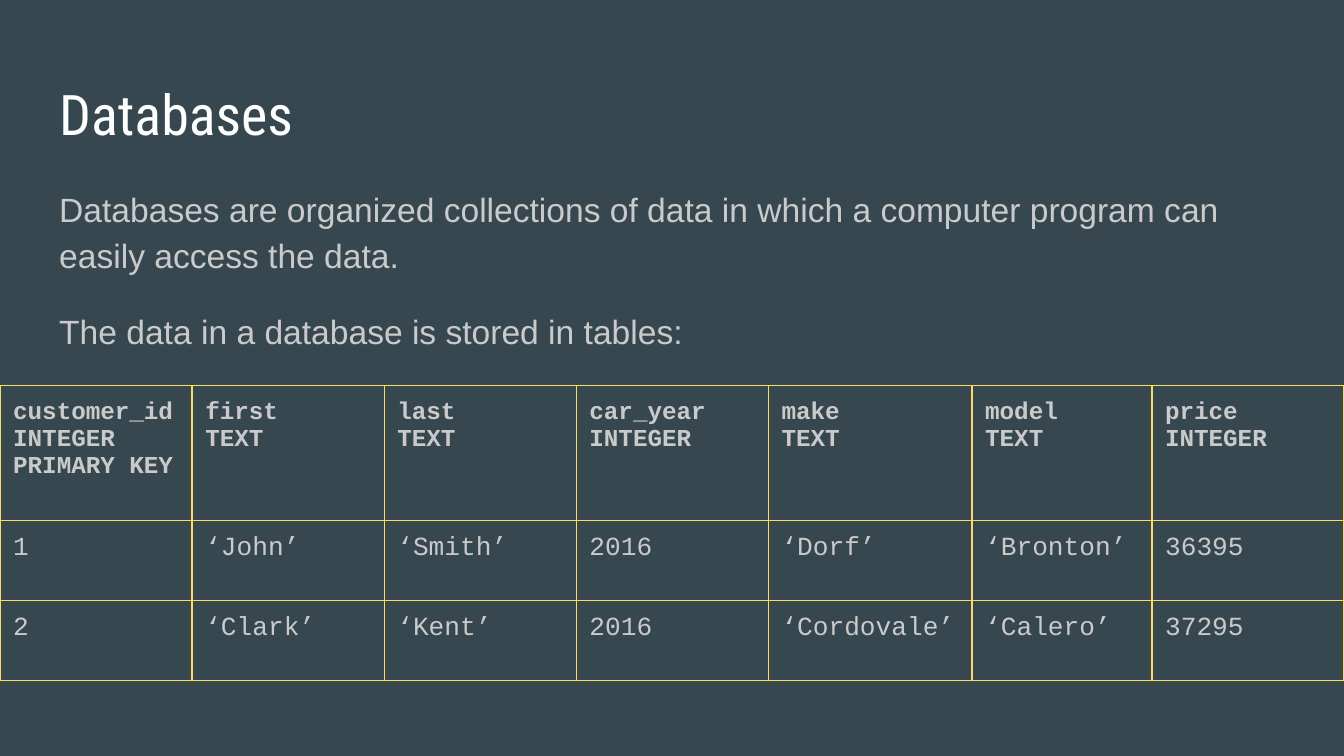
from pptx import Presentation
from pptx.dml.color import RGBColor
from pptx.oxml import parse_xml
from pptx.oxml.ns import nsdecls
from pptx.util import Cm, Pt

SLATE = RGBColor(0x37, 0x47, 0x4F)
WHITE = RGBColor(0xFF, 0xFF, 0xFF)
GREY = RGBColor(0xCA, 0xCA, 0xCA)
GOLD = RGBColor(0xFF, 0xD9, 0x66)

TITLE = ["Databases"]
BODY = [
    "Databases are organized collections of data in which a computer "
    "program can easily access the data.",
    "The data in a database is stored in tables:",
]
# Column width in cm, heading lines
COLS = [
    (3.63, ["customer_id", "INTEGER", "PRIMARY KEY"]),
    (3.63, ["first", "TEXT"]),
    (3.63, ["last", "TEXT"]),
    (3.63, ["car_year", "INTEGER"]),
    (3.85, ["make", "TEXT"]),
    (3.4, ["model", "TEXT"]),
    (3.63, ["price", "INTEGER"]),
]
ROWS = [
    ["1", "‘John’", "‘Smith’", "2016", "‘Dorf’", "‘Bronton’", "36395"],
    ["2", "‘Clark’", "‘Kent’", "2016", "‘Cordovale’", "‘Calero’", "37295"],
]
HEAD_H, ROW_H = 2.55, 1.51
PAD = Cm(0.25)


def write(frame, lines, font, size, color=GREY, bold=False, lead=1.0, gap=0):
    """Fill a text frame with one paragraph per line."""
    frame.word_wrap = True
    for i, line in enumerate(lines):
        para = frame.paragraphs[0] if i == 0 else frame.add_paragraph()
        para.line_spacing = lead
        para.space_before = Pt(gap if i else 0)
        run = para.add_run()
        run.text = line
        run.font.name = font
        run.font.size = Pt(size)
        run.font.bold = bold
        run.font.color.rgb = color


def pad(part):
    """Give a text frame or a cell equal margins."""
    part.margin_left = part.margin_right = PAD
    part.margin_top = part.margin_bottom = PAD


def add_text(slide, top, height, lines, **style):
    """Add a text box as wide as the text column."""
    box = slide.shapes.add_textbox(Cm(0.87), Cm(top), Cm(23.67), Cm(height))
    pad(box.text_frame)
    write(box.text_frame, lines, **style)


def frame_cell(cell):
    """Draw the four borders of a cell."""
    props = cell._tc.get_or_add_tcPr()
    for i, side in enumerate(("lnL", "lnR", "lnT", "lnB")):
        props.insert(i, parse_xml(
            f'<a:{side} {nsdecls("a")} w="{Pt(0.75)}"><a:solidFill>'
            f'<a:srgbClr val="{GOLD}"/></a:solidFill></a:{side}>'))


def add_grid(slide):
    """Add the table of customers and cars."""
    height = HEAD_H + ROW_H * len(ROWS)
    table = slide.shapes.add_table(
        len(ROWS) + 1, len(COLS), 0, Cm(7.29), Cm(25.4), Cm(height)).table
    table.first_row = table.horz_banding = False
    for col, (width, _) in zip(table.columns, COLS):
        col.width = Cm(width)
    heads = [head for _, head in COLS]
    data = [heads] + [[[item] for item in row] for row in ROWS]
    for r, row in enumerate(data):
        table.rows[r].height = Cm(ROW_H if r else HEAD_H)
        for c, lines in enumerate(row):
            cell = table.cell(r, c)
            pad(cell)
            cell.fill.background()
            frame_cell(cell)
            write(cell.text_frame, lines, font="Courier New",
                  size=14 if r else 13, bold=r == 0)


def main():
    """Build and save the slide."""
    deck = Presentation()
    deck.slide_width, deck.slide_height = Cm(25.4), Cm(14.29)
    slide = deck.slides.add_slide(deck.slide_layouts[6])
    fill = slide.background.fill
    fill.solid()
    fill.fore_color.rgb = SLATE
    add_text(slide, 1.25, 1.6, TITLE, font="Roboto Condensed", size=30,
             color=WHITE)
    add_text(slide, 3.2, 9.5, BODY, font="Arial", size=18, lead=1.15, gap=16)
    add_grid(slide)
    deck.save("out.pptx")


main()
